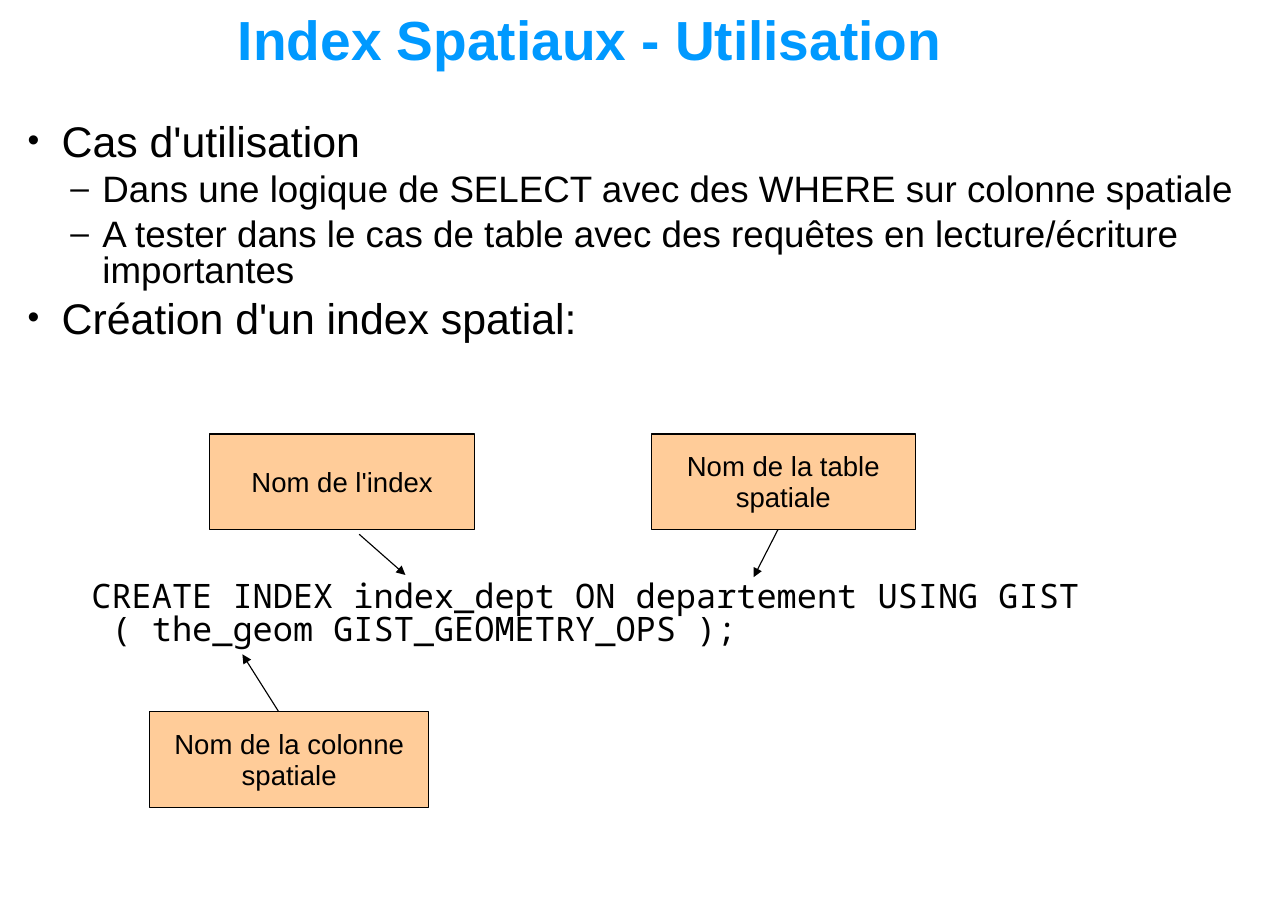
import pptx
import pptx.dml.color
import pptx.enum.shapes
import pptx.enum.text
import pptx.oxml
import pptx.oxml.ns
import pptx.util
import lxml.etree

PX = 9144  # EMU in one px, at 100 px to the inch
ALIGN = pptx.enum.text.PP_ALIGN
ANCHOR = pptx.enum.text.MSO_ANCHOR
BLACK, ORANGE, BLUE = "000000", "FFCC99", "0099FF"

# level: bullet, its size in percent, text size, left margin, hanging indent, space before
LEVELS = [("•", 78, 28, 31, 31, 6), ("–", 91, 24, 68, 29, 5)]
BULLETS = [
    (0, "Cas d'utilisation"),
    (1, "Dans une logique de SELECT avec des WHERE sur colonne spatiale"),
    (1, "A tester dans le cas de table avec des requêtes en lecture/écriture importantes"),
    (0, "Création d'un index spatial:"),
]
CODE = ["CREATE INDEX index_dept ON departement USING GIST", " ( the_geom GIST_GEOMETRY_OPS );"]

# box, lines of text, arrow start and arrow tip relative to the box
LABELS = [
    ((190, 394, 241, 87), ["Nom de l'index"], (136, 91), (178, 128)),
    ((591, 394, 240, 87), ["Nom de la table", "spatiale"], (115, 87), (93, 130)),
    ((136, 646, 253, 87), ["Nom de la colonne", "spatiale"], (139, 35), (84, -52)),
]


def px(*lengths):
    return [pptx.util.Emu(length * PX) for length in lengths]


def colour(value):
    return pptx.dml.color.RGBColor.from_string(value)


def place(shape, box):
    shape.left, shape.top, shape.width, shape.height = px(*box)


def set_frame(frame, insets, anchor):
    frame.word_wrap = True
    frame.auto_size = pptx.enum.text.MSO_AUTO_SIZE.NONE
    frame.vertical_anchor = anchor
    (frame.margin_left, frame.margin_top,
     frame.margin_right, frame.margin_bottom) = px(*insets)


def set_para(para, align, line_spacing, space_before=0):
    para.alignment = align
    para.line_spacing = line_spacing
    para.space_before = pptx.util.Pt(space_before)


def add_span(para, text, size, value=BLACK, name="Arial", bold=False):
    span = para.add_run()
    span.text = text
    span.font.size = pptx.util.Pt(size)
    span.font.name = name
    span.font.bold = bold
    span.font.color.rgb = colour(value)


def next_para(frame, index):
    return frame.add_paragraph() if index else frame.paragraphs[0]


def add_bullet(para, char, percent, margin, hanging):
    props = para._p.get_or_add_pPr()
    props.set("marL", str(margin * PX))
    props.set("indent", str(-hanging * PX))
    space = pptx.oxml.ns.nsdecls("a")
    for xml in (f'<a:buClr {space}><a:srgbClr val="{BLACK}"/></a:buClr>',
                f'<a:buSzPct {space} val="{percent * 1000}"/>',
                f'<a:buFont {space} typeface="Arial"/>',
                f'<a:buChar {space} char="{char}"/>'):
        props.append(pptx.oxml.parse_xml(xml))


def fill_title(page, box):
    title = page.shapes.title
    place(title, box)
    set_frame(title.text_frame, (0, 3, 0, 0), ANCHOR.MIDDLE)
    para = title.text_frame.paragraphs[0]
    set_para(para, ALIGN.LEFT, 0.93)
    add_span(para, "Index Spatiaux - Utilisation", 36, BLUE, bold=True)


def fill_body(page, box):
    body = page.placeholders[1]
    place(body, box)
    set_frame(body.text_frame, (0, 3, 0, 0), ANCHOR.TOP)
    for index, (level, text) in enumerate(BULLETS):
        char, percent, size, margin, hanging, before = LEVELS[level]
        para = next_para(body.text_frame, index)
        para.level = level
        set_para(para, ALIGN.LEFT, 0.83, before if index else 0)
        add_bullet(para, char, percent, margin, hanging)
        add_span(para, text, size)


def add_code(page, box):
    frame = page.shapes.add_textbox(*px(*box)).text_frame
    set_frame(frame, (0, 5, 0, 0), ANCHOR.TOP)
    para = frame.paragraphs[0]
    set_para(para, ALIGN.LEFT, 0.83)
    for index, line in enumerate(CODE):
        if index:
            para.add_line_break()
        add_span(para, line, 22, name="Noto Sans Mono")


def add_arrow(page, start, tip):
    arrow = page.shapes.add_connector(
        pptx.enum.shapes.MSO_CONNECTOR.STRAIGHT, *px(*start, *tip))
    arrow.line.color.rgb = colour(BLACK)
    arrow.line.width = pptx.util.Pt(0.75)
    tail = lxml.etree.SubElement(arrow.line._get_or_add_ln(), pptx.oxml.ns.qn("a:tailEnd"))
    tail.set("type", "triangle")
    lxml.etree.SubElement(arrow._element.spPr, pptx.oxml.ns.qn("a:effectLst"))


def add_label(page, box, lines, start, tip):
    left, top = box[:2]
    # The arrow lies behind its label
    add_arrow(page, (left + start[0], top + start[1]), (left + tip[0], top + tip[1]))
    label = page.shapes.add_shape(
        pptx.enum.shapes.MSO_SHAPE.ROUNDED_RECTANGLE, *px(*box))
    label.adjustments[0] = 0.0
    label.shadow.inherit = False
    label.fill.solid()
    label.fill.fore_color.rgb = colour(ORANGE)
    label.line.color.rgb = colour(BLACK)
    label.line.width = pptx.util.Pt(0.75)
    set_frame(label.text_frame, (10, 7, 10, 5), ANCHOR.MIDDLE)
    for index, line in enumerate(lines):
        para = next_para(label.text_frame, index)
        set_para(para, ALIGN.CENTER, 0.93)
        add_span(para, line, 18)


def main():
    deck = pptx.Presentation()
    deck.slide_width, deck.slide_height = px(1169, 827)
    page = deck.slides.add_slide(deck.slide_layouts[1])

    # Title and list
    fill_title(page, (216, 6, 948, 62))
    fill_body(page, (25, 109, 1114, 220))

    # Annotated SQL command
    add_code(page, (83, 523, 909, 65))
    for label in LABELS:
        add_label(page, *label)

    deck.save("out.pptx")


if __name__ == "__main__":
    main()
